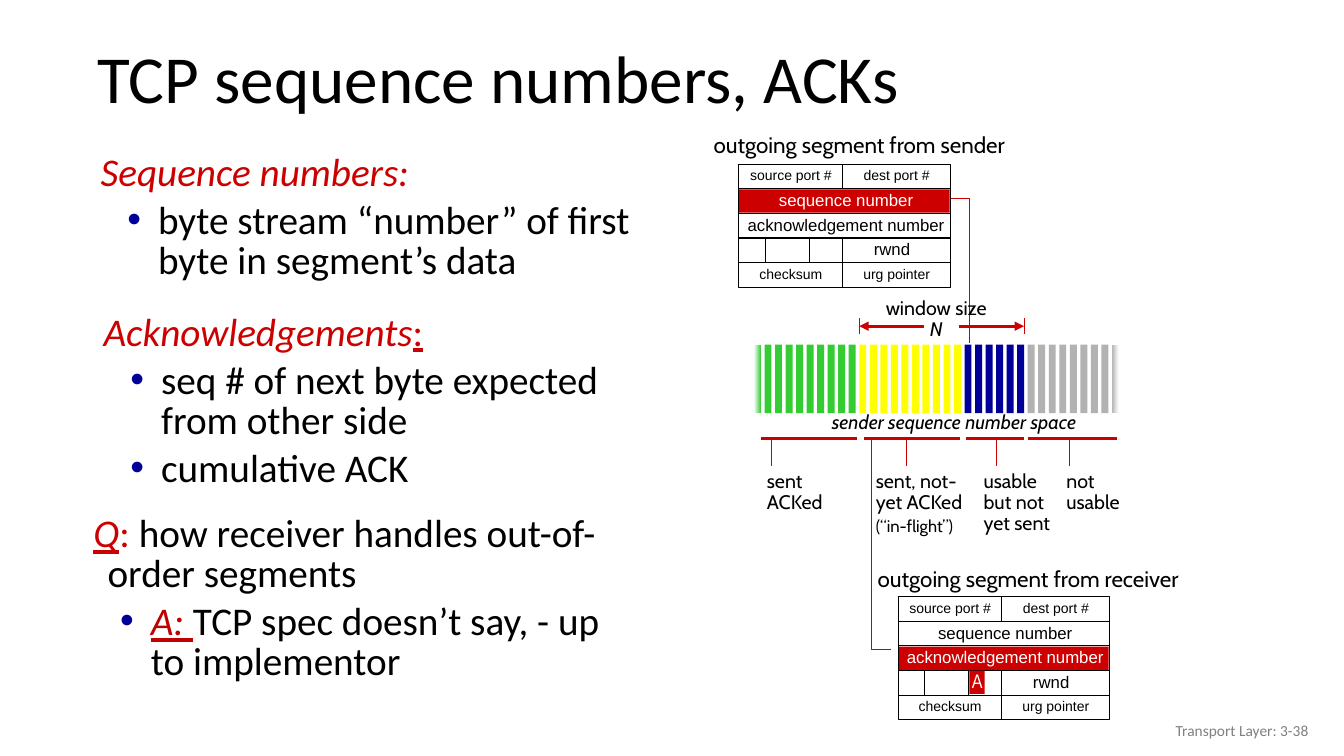
import pptx
import pptx.dml.color
import pptx.enum.shapes
import pptx.enum.text
import pptx.oxml.ns
import pptx.util
from lxml import etree

Pt = pptx.util.Pt
qn = pptx.oxml.ns.qn
ALIGN = pptx.enum.text.PP_ALIGN
RECTANGLE = pptx.enum.shapes.MSO_SHAPE.RECTANGLE
STRAIGHT = pptx.enum.shapes.MSO_CONNECTOR.STRAIGHT

COLOURS = {"black": "000000", "white": "FFFFFF", "red": "CC0000", "dark red": "C00000",
           "green": "33CC33", "yellow": "FFFF00", "blue": "000099", "grey": "B2B2B2",
           "footer": "808080"}

# Each block: box, then paragraphs of (is bullet, runs); a run is (text, colour, italic, underline)
BLOCKS = [
    ((56.2, 106.6, 401, 103), [
        (False, [("Sequence numbers:", "red", True, False)]),
        (True, [("byte stream “number” of first byte in segment’s data", "black", False, False)])]),
    ((58.3, 221, 401, 139), [
        (False, [("Acknowledgements", "red", True, False), (":", "red", False, True)]),
        (True, [("seq # of next byte expected from other side", "black", False, False)]),
        (True, [("cumulative ACK", "black", False, False)])]),
    ((51.1, 365, 401, 136), [
        (False, [("Q", "red", True, True), (":", "red", False, False),
                 (" how receiver handles out-of-order segments", "black", False, False)]),
        (True, [("A: ", "dark red", True, True),
                ("TCP spec doesn’t say, - up to implementor", "black", False, False)])]),
]

# Header fields: text, row, left edge, right edge, size; the long ones reach past the frame
SEGMENT_WIDTH, SEGMENT_MIDDLE, ROW_HEIGHT, ROW_COUNT = 151.2, 74.2, 17.6, 5
FLAG_SPLITS = (18.7, 50.4)
FIELDS = [
    ("source port #", 0, 0, SEGMENT_MIDDLE, 10),
    ("dest port #", 0, SEGMENT_MIDDLE, SEGMENT_WIDTH, 10),
    ("sequence number", 1, -4, SEGMENT_WIDTH + 6, 12),
    ("acknowledgement number", 2, -4, SEGMENT_WIDTH + 6, 12),
    ("rwnd", 3, 70, 148.8, 12),
    ("checksum", 4, 0, SEGMENT_MIDDLE, 10),
    ("urg pointer", 4, SEGMENT_MIDDLE, SEGMENT_WIDTH, 10),
]
# Segments: left, top, highlighted row, heading, heading box, path of the pointer
SEGMENTS = [
    (527.8, 117.2, 1, "outgoing segment from sender", (497.5, 90, 232.6, 26.6),
     [(679, 141.8), (692.6, 141.8), (692.6, 244.8)]),
    (641.5, 426.2, 2, "outgoing segment from receiver", (612.7, 400.3, 243.4, 26.6),
     [(636.5, 463.7), (622.8, 463.7), (622.8, 313.9)]),
]

# Regions: colour, bar count, bracket start and end, tick, label left and width, label lines
REGIONS = [
    ("green", 10, 543.6, 612, 550.8, 540.7, 54.7, ["sent", "ACKed"]),
    ("yellow", 10, 617, 685.4, 647.3, 618.5, 90, ["sent, not-yet ACKed", "(“in-flight”)"]),
    ("blue", 6, 689.8, 731.5, 712.1, 695.5, 84.2, ["usable", "but not", "yet sent"]),
    ("grey", 9, 734.4, 797.8, 763.9, 754.6, 64.8, ["not", "usable"]),
]
BAR_LEFT, BAR_TOP, BAR_PITCH, BAR_WIDTH, BAR_HEIGHT = 538.6, 246.2, 7.52, 5, 49
BRACKET_Y, LABEL_TOP = 313.2, 333
WINDOW_Y = 233
WINDOW_ARROWS = [(660.2, 613.8), (684.7, 731.5)]


def rgb(name):
    return pptx.dml.color.RGBColor.from_string(COLOURS[name])


def add_text(box, lines, size, font="Cabin", colour="black", align=ALIGN.LEFT,
             wrap=False, spacing=None, middle=False):
    left, top, width, height = map(Pt, box)
    frame = slide.shapes.add_textbox(left, top, width, height).text_frame
    frame.word_wrap = wrap
    if middle:
        frame.vertical_anchor = pptx.enum.text.MSO_ANCHOR.MIDDLE
    for index, line in enumerate(lines):
        paragraph = frame.paragraphs[0] if index == 0 else frame.add_paragraph()
        paragraph.text = line
        paragraph.alignment = align
        paragraph.line_spacing = spacing
        paragraph.font.size = Pt(size)
        paragraph.font.name = font
        paragraph.font.color.rgb = rgb(colour)
    return frame


def add_line(x1, y1, x2, y2, colour="black", weight=0.75, arrow=False):
    line = slide.shapes.add_connector(STRAIGHT, Pt(x1), Pt(y1), Pt(x2), Pt(y2))
    line.line.color.rgb = rgb(colour)
    line.line.width = Pt(weight)
    if arrow:
        etree.SubElement(line.line._get_or_add_ln(), qn("a:tailEnd"), type="triangle")
    etree.SubElement(line._element.spPr, qn("a:effectLst"))


def add_box(left, top, width, height, fill=None):
    """Draw a borderless filled rectangle, or an outlined one when there is no fill."""
    shape = slide.shapes.add_shape(RECTANGLE, Pt(left), Pt(top), Pt(width), Pt(height))
    shape.shadow.inherit = False
    if fill:
        shape.fill.solid()
        shape.fill.fore_color.rgb = rgb(fill)
        shape.line.fill.background()
    else:
        shape.fill.background()
        shape.line.color.rgb = rgb("black")
        shape.line.width = Pt(0.75)
    return shape


def add_pointer(points):
    points = [(Pt(x), Pt(y)) for x, y in points]
    builder = slide.shapes.build_freeform(*points[0])
    builder.add_line_segments(points[1:], close=False)
    pointer = builder.convert_to_shape()
    pointer.shadow.inherit = False
    pointer.fill.background()
    pointer.line.color.rgb = rgb("red")
    pointer.line.width = Pt(0.75)


def add_block(box, paragraphs):
    frame = add_text(box, [""] * len(paragraphs), 28, "Calibri", wrap=True, spacing=0.85)
    for index, (is_bullet, runs) in enumerate(paragraphs):
        paragraph = frame.paragraphs[index]
        properties = paragraph._p.get_or_add_pPr()
        margin, indent = (49.7, -22) if is_bullet else (18.7, -10.1)
        properties.set("marL", str(Pt(margin)))
        properties.set("indent", str(Pt(indent)))
        if index:
            paragraph.space_before = Pt(5.6)
        if is_bullet:
            colour = etree.Element(qn("a:buClr"))
            etree.SubElement(colour, qn("a:srgbClr"), val=COLOURS["blue"])
            typeface = etree.Element(qn("a:buFont"), typeface="Arial")
            bullet = etree.Element(qn("a:buChar"), char="•")
            for element in (colour, typeface, bullet):
                properties.find(qn("a:defRPr")).addprevious(element)
        for text, colour, italic, underline in runs:
            run = paragraph.add_run()
            run.text = text
            run.font.color.rgb = rgb(colour)
            run.font.italic = italic
            run.font.underline = underline


def add_segment(left, top, highlighted, heading, heading_box, pointer):
    add_box(left, top + highlighted * ROW_HEIGHT + 0.5, SEGMENT_WIDTH - 0.7, 16.6, "red")
    add_box(left, top, SEGMENT_WIDTH, ROW_COUNT * ROW_HEIGHT)
    for row in range(1, ROW_COUNT):
        y = top + row * ROW_HEIGHT
        add_line(left, y, left + SEGMENT_WIDTH, y)
    dividers = [(SEGMENT_MIDDLE, 0, 1), (SEGMENT_MIDDLE, 3, 5)]
    dividers += [(split, 3, 4) for split in FLAG_SPLITS]
    for x, first, last in dividers:
        add_line(left + x, top + first * ROW_HEIGHT, left + x, top + last * ROW_HEIGHT)
    for text, row, start, end, size in FIELDS:
        height = size * 1.2 + 7.2
        y = top + (row + 0.5) * ROW_HEIGHT - 0.8 - height / 2
        add_text((left + start, y, end - start, height), [text], size, "Arial",
                 "white" if row == highlighted else "black", ALIGN.CENTER)
    add_text(heading_box, [heading], 16, align=ALIGN.CENTER)
    add_pointer(pointer)


def add_sequence_space():
    bar = 0
    total = sum(region[1] for region in REGIONS)
    for colour, count, start, end, tick, label_left, label_width, lines in REGIONS:
        for _ in range(count):
            shape = add_box(BAR_LEFT + bar * BAR_PITCH, BAR_TOP, BAR_WIDTH, BAR_HEIGHT, colour)
            if bar in (0, total - 1):
                shape.fill.gradient()
                shape.fill.gradient_angle = 0
                fade = ("white", colour) if bar == 0 else (colour, "white")
                for stop, name in zip(shape.fill.gradient_stops, fade):
                    stop.color.rgb = rgb(name)
            bar += 1
        add_line(start, BRACKET_Y, end, BRACKET_Y, "red", 2.25)
        add_line(tick, BRACKET_Y + 1.4, tick, LABEL_TOP, "red")
        height = 7.2 + 15.2 * len(lines)
        frame = add_text((label_left, LABEL_TOP, label_width, height), lines, 14,
                         wrap=True, spacing=0.9)
        if colour == "yellow":
            frame.paragraphs[1].font.size = Pt(12)
            frame.paragraphs[1].space_before = Pt(3)
    caption = add_text((561, 289.4, 241, 24), ["sender sequence number space"], 14,
                       align=ALIGN.CENTER)
    caption.paragraphs[0].font.italic = True


def add_window():
    frame = add_text((624.2, 209.5, 89.3, 37.4), ["window size", "N"], 14,
                     align=ALIGN.CENTER, spacing=0.9)
    frame.paragraphs[1].font.italic = True
    for start, end in WINDOW_ARROWS:
        add_line(start, WINDOW_Y, end, WINDOW_Y, "red", 2.25, arrow=True)
        add_line(end, WINDOW_Y - 5.5, end, WINDOW_Y + 5.5, "red")


presentation = pptx.Presentation()
presentation.slide_width, presentation.slide_height = Pt(960), Pt(540)
slide = presentation.slides.add_slide(presentation.slide_layouts[6])

add_text((62.6, 23, 897, 70.6), ["TCP sequence numbers, ACKs"], 48, "Calibri",
         wrap=True, spacing=0.9, middle=True)
for block in BLOCKS:
    add_block(*block)
for segment in SEGMENTS:
    add_segment(*segment)
flag_left, flag_top = SEGMENTS[1][0] + 51, SEGMENTS[1][1] + 3 * ROW_HEIGHT
add_box(flag_left, flag_top, 10.8, 16.6, "red")
add_text((flag_left - 8.5, flag_top - 4.6, 28, 24), ["A"], 14, "Arial Narrow", "white",
         ALIGN.CENTER)
add_sequence_space()
add_window()
add_text((725.8, 507.6, 216, 28.8), ["Transport Layer: 3-38"], 11, "Calibri", "footer",
         ALIGN.RIGHT, wrap=True, middle=True)

presentation.save("out.pptx")
